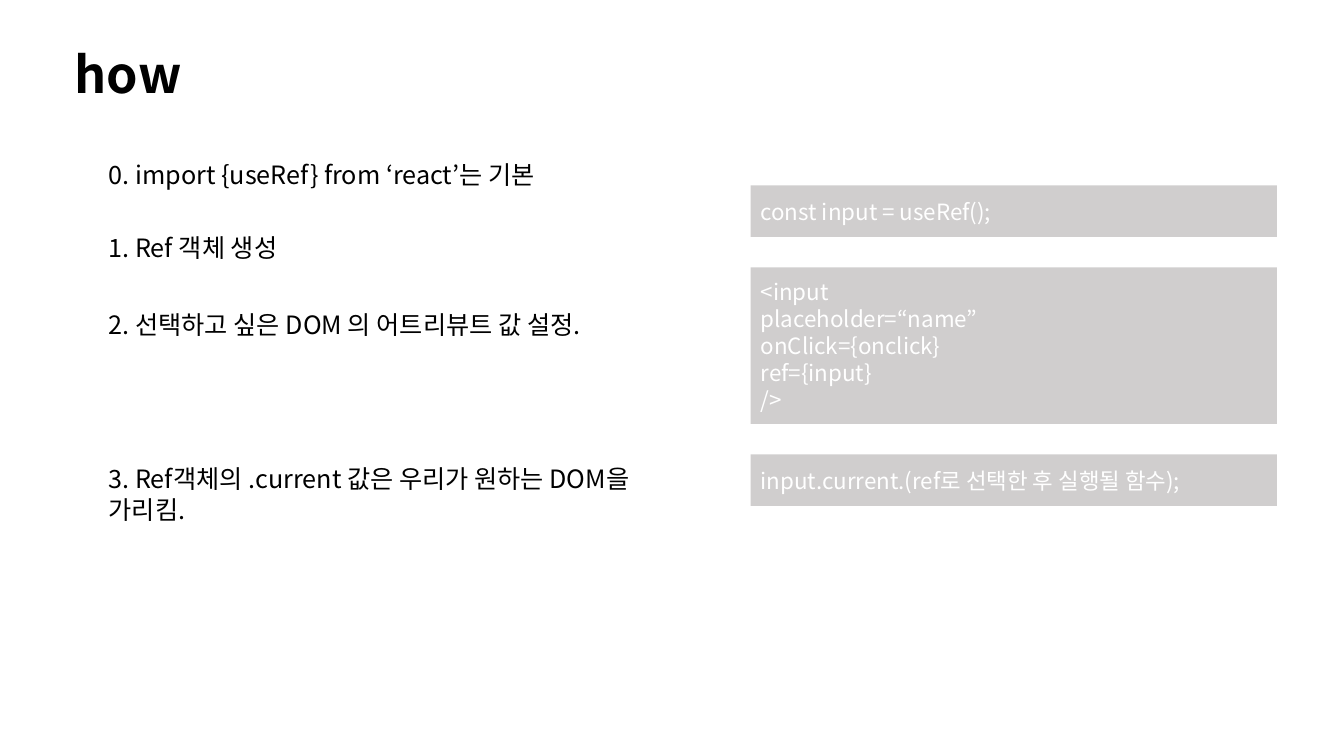
from dataclasses import dataclass

from lxml import etree
from pptx import Presentation
from pptx import util as u
from pptx.dml.color import RGBColor
from pptx.enum import shapes, text
from pptx.oxml.ns import qn


@dataclass(frozen=True)
class Theme:
    face: str = "Noto Sans CJK KR"
    ink: str = "000000"
    code_ink: str = "FFFFFF"
    code_fill: str = "D0CECE"
    title_size: int = 36
    step_size: int = 18
    code_size: int = 16


THEME = Theme()
TITLE_ONLY = 5

# Top offsets within the steps column, widths, wording
STEPS = [
    (0, 15.29, "0. import {useRef} from ‘react’는 기본"),
    (1.83, 6.68, "1. Ref 객체 생성"),
    (3.78, 12.62, "2. 선택하고 싶은 DOM 의 어트리뷰트 값 설정."),
    (7.67, 15.29, "3. Ref객체의 .current 값은 우리가 원하는 DOM을 가리킴."),
]
STEP_HEIGHT = 1.02

# Heights and lines of the code blocks
SNIPPETS = [
    (1.3, ["const input = useRef();"]),
    (3.94, ["<input", "placeholder=“name”", "onClick={onclick}", "ref={input}", "/>"]),
    (1.3, ["input.current.(ref로 선택한 후 실행될 함수);"]),
]
SNIPPET_GAP = 0.77


def write(frame, lines, size, color, anchor, bold=False):
    """Fill a text frame with one left-aligned paragraph per line."""
    frame.word_wrap = True
    frame.auto_size = text.MSO_AUTO_SIZE.NONE
    frame.vertical_anchor = anchor
    frame.text = "\n".join(lines)
    for line in frame.paragraphs:
        line.alignment = text.PP_ALIGN.LEFT
        font = line.font
        font.name, font.size, font.bold = THEME.face, u.Pt(size), bold
        font.color.rgb = RGBColor.from_string(color)
        # Hangul takes the East Asian typeface
        defaults = line._p.pPr.find(qn("a:defRPr"))
        etree.SubElement(defaults, qn("a:ea"), typeface=THEME.face)


def add_heading(slide, left, top, width, height):
    heading = slide.shapes.title
    heading.left, heading.top = u.Cm(left), u.Cm(top)
    heading.width, heading.height = u.Cm(width), u.Cm(height)
    write(heading.text_frame, ["how"], THEME.title_size, THEME.ink,
          text.MSO_ANCHOR.TOP, bold=True)


def add_steps(slide, left, top):
    for offset, width, wording in STEPS:
        step = slide.shapes.add_textbox(
            u.Cm(left), u.Cm(top + offset), u.Cm(width), u.Cm(STEP_HEIGHT))
        write(step.text_frame, [wording], THEME.step_size, THEME.ink,
              text.MSO_ANCHOR.TOP)


def add_snippets(slide, left, top, width):
    for height, lines in SNIPPETS:
        snippet = slide.shapes.add_shape(
            shapes.MSO_SHAPE.RECTANGLE,
            u.Cm(left), u.Cm(top), u.Cm(width), u.Cm(height))
        snippet.shadow.inherit = False
        snippet.fill.solid()
        snippet.fill.fore_color.rgb = RGBColor.from_string(THEME.code_fill)
        snippet.line.fill.background()
        write(snippet.text_frame, lines, THEME.code_size, THEME.code_ink,
              text.MSO_ANCHOR.MIDDLE)
        top += height + SNIPPET_GAP


deck = Presentation()
deck.slide_width, deck.slide_height = u.Cm(33.87), u.Cm(19.05)
how = deck.slides.add_slide(deck.slide_layouts[TITLE_ONLY])

add_heading(how, 1.63, 0.97, 16.33, 1.8)
add_steps(how, 2.49, 3.89)
add_snippets(how, 18.92, 4.67, 13.26)

deck.save("out.pptx")
